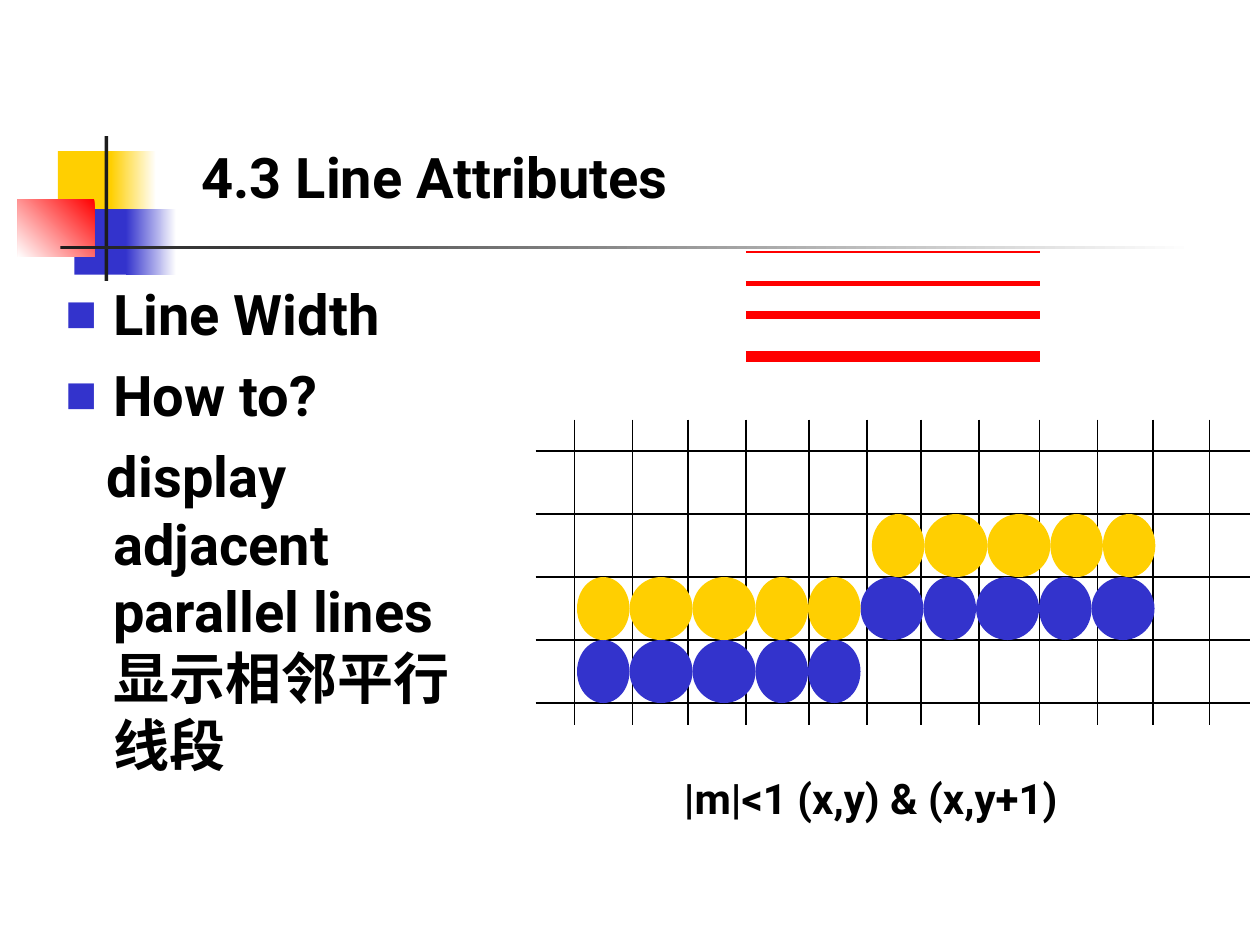
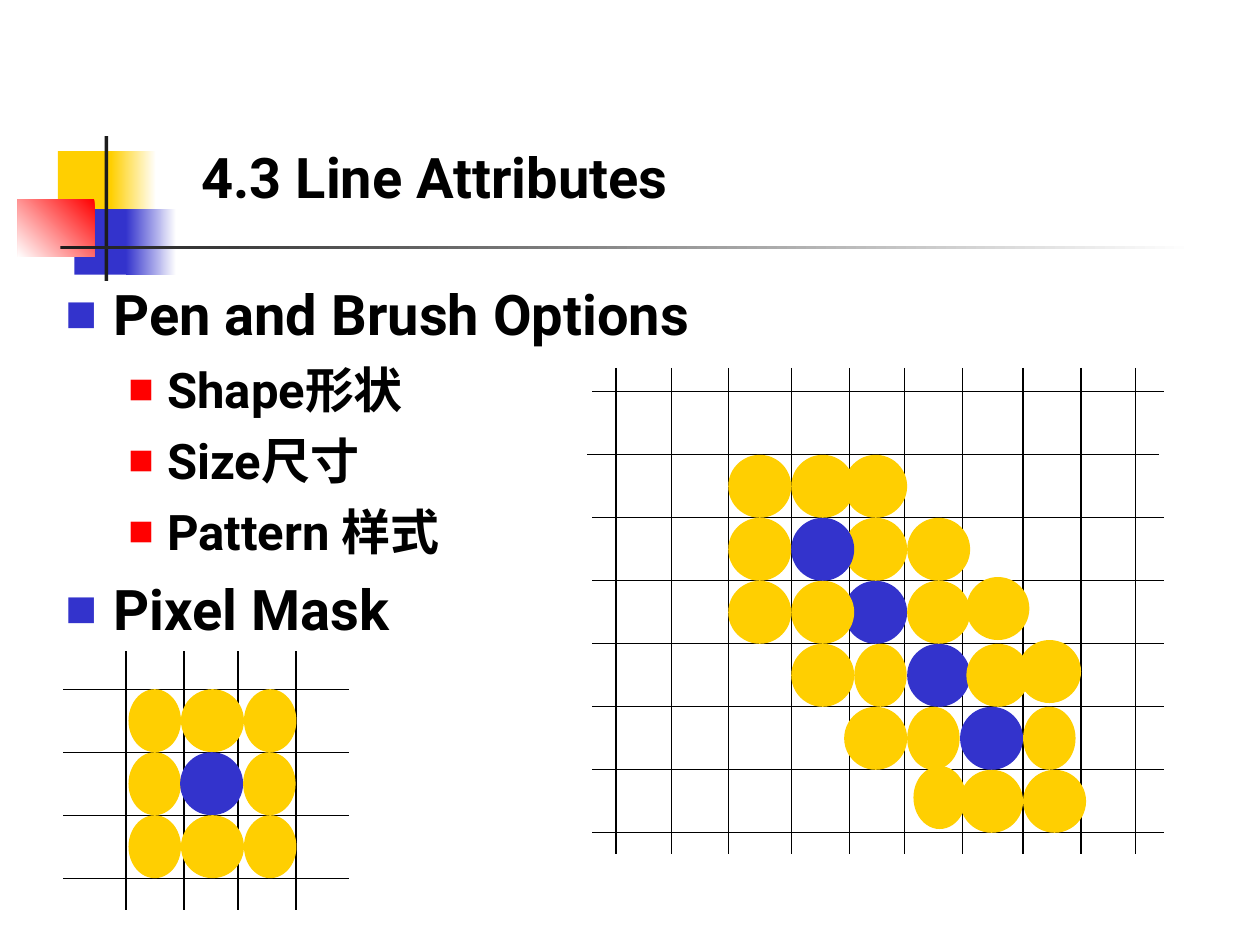
from lxml.etree import SubElement
from pptx import Presentation
from pptx.dml.color import RGBColor
from pptx.enum.shapes import MSO_CONNECTOR, MSO_SHAPE
from pptx.oxml.ns import qn
from pptx.util import Inches, Pt

FONT = "Roboto"
COLORS = {"white": "FFFFFF", "black": "000000", "ink": "1C1C1C",
          "yellow": "FFCF01", "blue": "3333CC", "red": "FF0000"}
TITLE = "4.3 Line Attributes"

EMBLEM = [
    ((0.46, 1.2, 0.48, 0.52), "yellow", None),
    ((0.88, 1.2, 0.36, 0.52), "yellow", 0),
    ((0.59, 1.66, 0.46, 0.52), "blue", None),
    ((1, 1.66, 0.4, 0.52), "blue", 0),
    ((0.14, 1.58, 0.61, 0.46), "red", 225),
    ((0.83, 1.08, 0.03, 1.15), "ink", None),
    ((0.48, 1.95, 9, 0.03), "ink", 0),
]

LEVELS = {
    "topic": dict(size=32, before=8, margin=0.38, indent=-0.38, bullet=("blue", 60)),
    "item": dict(size=28, before=7, margin=0.81, indent=-0.31, bullet=("red", 55)),
    "plain": dict(size=32, before=8, margin=0.38, indent=-0.05, bullet=None),
}

PIXEL_HEIGHT = 0.5
PIXEL_WIDTHS = {"n": 5 / 12, "w": 0.5}

SLIDES = [
    {
        "body_width": 3.33,
        "body": [("topic", "Line Width"), ("topic", "How to?"),
                 ("plain", "display adjacent parallel lines显示相邻平行线段")],
        "samples": [(2, 1), (2.25, 3), (2.5, 4.5), (2.83, 6)],
        "grids": [{
            "columns": [4.56, 5.02, 5.46, 5.92, 6.42, 6.88,
                        7.31, 7.77, 8.25, 8.71, 9.15, 9.6],
            "column_span": (3.33, 5.75),
            "first_row": 3.58, "row_count": 5, "row_span": (4.25, 9.92),
            "row_shifts": {},
            "pixel_runs": [
                (4.58, 5.08, "blue", "nwwnn"), (6.83, 4.58, "blue", "wnwnw"),
                (4.58, 4.58, "yellow", "nwwnn"), (6.92, 4.08, "yellow", "nwwnn"),
            ],
        }],
        "caption": "|m|<1 (x,y) & (x,y+1)",
    },
    {
        "body_width": 6.42,
        "body": [("topic", "Pen and Brush Options"), ("item", "Shape形状"),
                 ("item", "Size尺寸"), ("item", "Pattern 样式"),
                 ("topic", "Pixel Mask")],
        "samples": [],
        "grids": [
            {
                "columns": [1, 1.46, 1.89, 2.35],
                "column_span": (5.17, 7.22),
                "first_row": 5.47, "row_count": 4, "row_span": (0.5, 2.77),
                "row_shifts": {},
                "pixel_runs": [
                    (1.02, 5.47, "yellow", "nwn"), (1.02, 5.97, "yellow", "n"),
                    (1.43, 5.97, "blue", "w"), (1.93, 5.97, "yellow", "n"),
                    (1.02, 6.47, "yellow", "nwn"),
                ],
            },
            {
                "columns": [4.89, 5.33, 5.78, 6.28, 6.74,
                            7.18, 7.64, 8.12, 8.58, 9.01],
                "column_span": (2.92, 6.78),
                "first_row": 3.11, "row_count": 8, "row_span": (4.7, 9.24),
                "row_shifts": {1: -0.04},
                "pixel_runs": [
                    (5.78, 3.61, "yellow", "ww"), (6.7, 3.61, "yellow", "w"),
                    (5.78, 4.11, "yellow", "w"), (6.7, 4.11, "yellow", "ww"),
                    (6.28, 4.11, "blue", "w"), (6.7, 4.61, "blue", "w"),
                    (5.78, 4.61, "yellow", "ww"), (7.2, 4.61, "yellow", "w"),
                    (7.67, 4.58, "yellow", "w"), (6.28, 5.11, "yellow", "wn"),
                    (7.2, 5.11, "blue", "w"), (7.67, 5.11, "yellow", "w"),
                    (8.08, 5.08, "yellow", "w"), (6.7, 5.61, "yellow", "wn"),
                    (7.62, 5.61, "blue", "w"), (8.12, 5.61, "yellow", "n"),
                    (7.62, 6.11, "yellow", "ww"), (7.25, 6.08, "yellow", "n"),
                ],
            },
        ],
        "caption": None,
    },
]


def rgb(name):
    return RGBColor.from_string(COLORS[name])


def add_block(slide, kind, box, color, fade_angle=None):
    block = slide.shapes.add_shape(kind, *map(Inches, box))
    block.shadow.inherit = False
    block.line.fill.background()
    if fade_angle is None:
        block.fill.solid()
        block.fill.fore_color.rgb = rgb(color)
    else:
        block.fill.gradient()
        block.fill.gradient_angle = fade_angle
        for stop, (place, shade) in zip(block.fill.gradient_stops,
                                        [(0, color), (1, "white")]):
            stop.position = place
            stop.color.rgb = rgb(shade)
    if fade_angle == 225:
        stops = block.fill.gradient_stops
        stops[0].color.rgb, stops[1].color.rgb = rgb(color), rgb("white")


def add_line(slide, start, end, color, width):
    line = slide.shapes.add_connector(MSO_CONNECTOR.STRAIGHT,
                                      *map(Inches, (*start, *end)))
    line.line.color.rgb = rgb(color)
    line.line.width = Pt(width)
    SubElement(line._element.spPr, qn("a:effectLst"))


def add_text(slide, box, wrap=True):
    frame = slide.shapes.add_textbox(*map(Inches, box)).text_frame
    frame.word_wrap = wrap
    return frame


def style(paragraph, size):
    for run in paragraph.runs:
        run.font.name = FONT
        run.font.size = Pt(size)
        run.font.bold = True
        run.font.color.rgb = rgb("black")


def indent(paragraph, margin, first, bullet):
    props = paragraph._p.get_or_add_pPr()
    props.set("marL", str(Inches(margin)))
    props.set("indent", str(Inches(first)))
    if bullet:
        color, percent = bullet
        tint = SubElement(props, qn("a:buClr"))
        SubElement(tint, qn("a:srgbClr"), val=COLORS[color])
        SubElement(props, qn("a:buSzPct"), val=str(percent * 1000))
        SubElement(props, qn("a:buFont"), typeface=FONT)
        SubElement(props, qn("a:buChar"), char="■")
    else:
        SubElement(props, qn("a:buNone"))


def add_body(slide, width, entries):
    frame = add_text(slide, (0.42, 2.17, width, 4.5))
    for number, (level, words) in enumerate(entries):
        paragraph = frame.add_paragraph() if number else frame.paragraphs[0]
        look = LEVELS[level]
        paragraph.text = words
        indent(paragraph, look["margin"], look["indent"], look["bullet"])
        if number:
            paragraph.space_before = Pt(look["before"])
        style(paragraph, look["size"])


def add_label(slide, box, words, size, wrap=True):
    frame = add_text(slide, box, wrap)
    frame.text = words
    style(frame.paragraphs[0], size)


def add_grid(slide, grid):
    top, bottom = grid["column_span"]
    for x in grid["columns"]:
        add_line(slide, (x, top), (x, bottom), "black", 0.75)
    left, right = grid["row_span"]
    for row in range(grid["row_count"]):
        y = grid["first_row"] + row * PIXEL_HEIGHT
        shift = grid["row_shifts"].get(row, 0)
        add_line(slide, (left + shift, y), (right + shift, y), "black", 0.75)
    for x, y, color, widths in grid["pixel_runs"]:
        for width in map(PIXEL_WIDTHS.get, widths):
            add_block(slide, MSO_SHAPE.OVAL, (x, y, width, PIXEL_HEIGHT), color)
            x += width


def main():
    deck = Presentation()
    deck.slide_width, deck.slide_height = Inches(10), Inches(7.5)
    for content in SLIDES:
        slide = deck.slides.add_slide(deck.slide_layouts[6])
        for box, color, fade_angle in EMBLEM:
            add_block(slide, MSO_SHAPE.RECTANGLE, box, color, fade_angle)
        add_body(slide, content["body_width"], content["body"])
        add_label(slide, (1.5, 1.08, 7.17, 0.64), TITLE, 32)
        for y, width in content["samples"]:
            add_line(slide, (5.92, y), (8.25, y), "red", width)
        for grid in content["grids"]:
            add_grid(slide, grid)
        if content["caption"]:
            add_label(slide, (5.33, 6.08, 3.57, 0.5), content["caption"], 24, False)
    deck.save("out.pptx")


if __name__ == "__main__":
    main()
